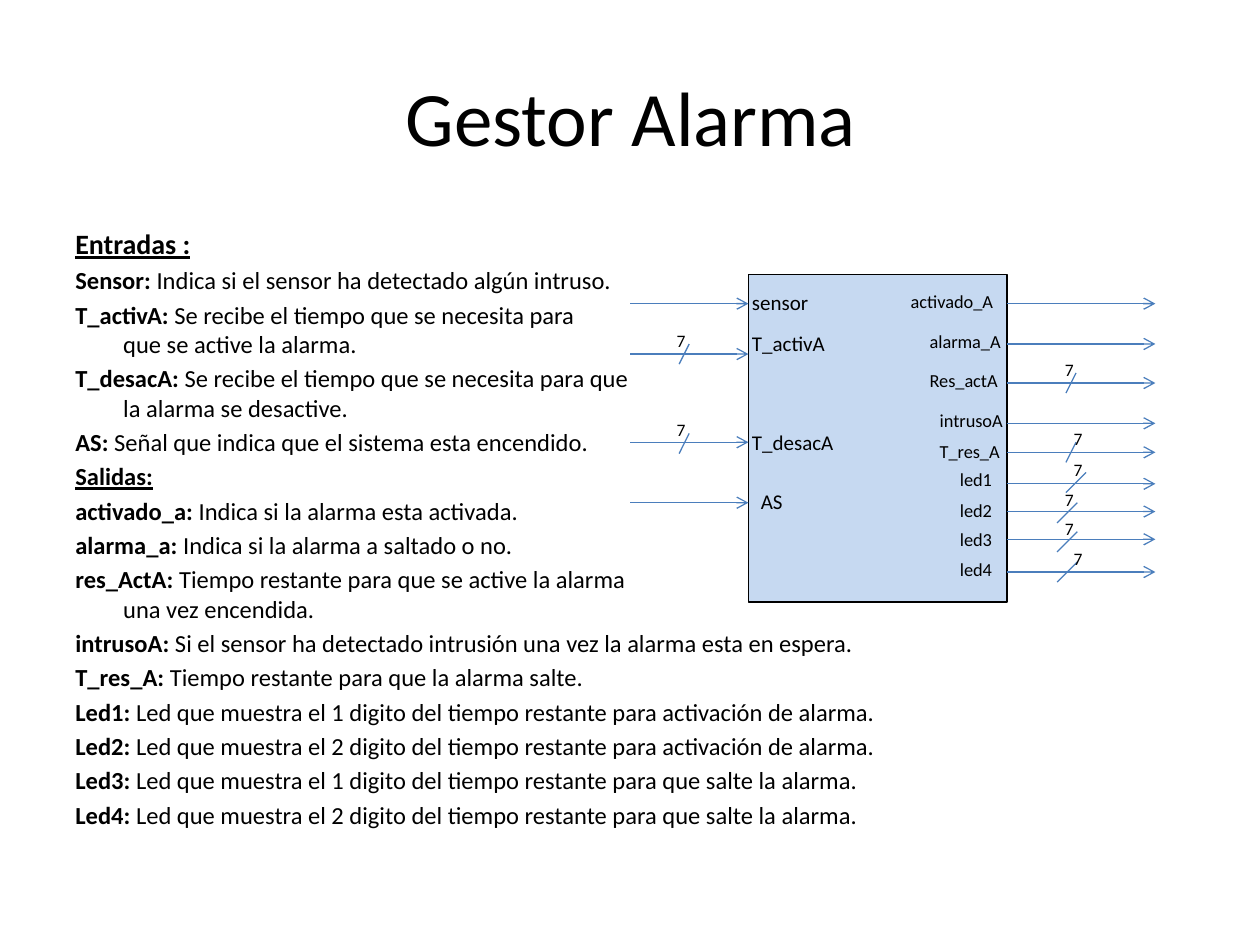
from lxml.etree import SubElement
from pptx import Presentation
from pptx.dml.color import RGBColor
from pptx.enum.shapes import MSO_CONNECTOR, MSO_SHAPE
from pptx.enum.text import MSO_ANCHOR, PP_ALIGN
from pptx.oxml.ns import qn
from pptx.util import Inches, Pt

prs = Presentation()
prs.slide_width, prs.slide_height = Inches(10), Inches(7.5)
slide = prs.slides.add_slide(prs.slide_layouts[5])
shapes = slide.shapes


def write(frame, runs, size, align=PP_ALIGN.LEFT, first=True, hanging=0, before=0):
    """Add one paragraph of (text, bold, underline) runs to a text frame."""
    frame.word_wrap = True
    paragraph = frame.paragraphs[0] if first else frame.add_paragraph()
    paragraph.alignment = align
    paragraph.space_before = Pt(before)
    if hanging:
        properties = paragraph._p.get_or_add_pPr()
        properties.set("marL", str(Inches(hanging)))
        properties.set("indent", str(-Inches(hanging)))
    for text, bold, underline in runs:
        for number, line in enumerate(text.split("\n")):
            if number:
                paragraph.add_line_break()
            run = paragraph.add_run()
            run.text = line
            run.font.name = "Calibri"
            run.font.size = Pt(size)
            run.font.bold = bold
            run.font.underline = underline
            run.font.color.rgb = RGBColor.from_string("000000")


def draw_line(x1, y1, x2, y2, arrow=False):
    line = shapes.add_connector(MSO_CONNECTOR.STRAIGHT, Inches(x1), Inches(y1), Inches(x2), Inches(y2))
    line.line.color.rgb = RGBColor.from_string("4B7EBC")
    line.line.width = Pt(0.75)
    if arrow:
        SubElement(line.line._get_or_add_ln(), qn("a:tailEnd"), type="arrow")
    SubElement(line._element.spPr, qn("a:effectLst"))


title = shapes.title
title.left, title.top, title.width, title.height = Inches(0.51), Inches(0.29), Inches(9), Inches(1.25)
title.text_frame.vertical_anchor = MSO_ANCHOR.MIDDLE
write(title.text_frame, [("Gestor Alarma", False, False)], 44, align=PP_ALIGN.CENTER)

# Description of every signal; an entry without description is a heading
signals = [
    ("Entradas :", ""),
    ("Sensor:", "Indica si el sensor ha detectado algún intruso."),
    ("T_activA:", "Se recibe el tiempo que se necesita para\nque se active la alarma."),
    ("T_desacA:", "Se recibe el tiempo que se necesita para que\nla alarma se desactive."),
    ("AS:", "Señal que indica que el sistema esta encendido."),
    ("Salidas:", ""),
    ("activado_a:", "Indica si la alarma esta activada."),
    ("alarma_a:", "Indica si la alarma a saltado o no."),
    ("res_ActA:", "Tiempo restante para que se active la alarma\nuna vez encendida."),
    ("intrusoA:", "Si el sensor ha detectado intrusión una vez la alarma esta en espera."),
    ("T_res_A:", "Tiempo restante para que la alarma salte."),
    ("Led1:", "Led que muestra el 1 digito del tiempo restante para activación de alarma."),
    ("Led2:", "Led que muestra el 2 digito del tiempo restante para activación de alarma."),
    ("Led3:", "Led que muestra el 1 digito del tiempo restante para que salte la alarma."),
    ("Led4:", "Led que muestra el 2 digito del tiempo restante para que salte la alarma."),
]
description = shapes.add_textbox(Inches(0.5), Inches(1.75), Inches(9), Inches(5.15)).text_frame
for index, (signal, meaning) in enumerate(signals):
    runs = [(signal, True, False), (" " + meaning, False, False)] if meaning else [(signal, True, True)]
    size = 14 if index else 16
    write(description, runs, size, first=index == 0, hanging=0.38, before=size * 0.2)

block = shapes.add_shape(MSO_SHAPE.RECTANGLE, Inches(5.94), Inches(2.18), Inches(2.05), Inches(2.6))
block.shadow.inherit = False
block.fill.solid()
block.fill.fore_color.rgb = RGBColor.from_string("C6D9F1")
block.line.color.rgb = RGBColor.from_string("000000")
block.line.width = Pt(1)

# Label, its left and top, arrow height, and for a bus:
# left of the "7", then left, top and width of the slash
inputs = [
    ("sensor", 5.87, 2.25, 2.41, None),
    ("T_activA", 5.87, 2.57, 2.81, (5.31, 5.39, 2.73, 0.08)),
    ("T_desacA", 5.87, 3.36, 3.51, (5.31, 5.39, 3.44, 0.08)),
    ("AS", 5.94, 3.83, 3.99, None),
]
outputs = [
    ("activado_A", 7.13, 2.25, 2.41, None),
    ("alarma_A", 7.28, 2.57, 2.73, None),
    ("Res_actA", 7.28, 2.88, 3.04, (8.39, 8.46, 2.96, 0.08)),
    ("intrusoA", 7.36, 3.2, 3.36, None),
    ("T_res_A", 7.36, 3.44, 3.59, (8.46, 8.46, 3.51, 0.08)),
    ("led1", 7.52, 3.67, 3.84, (8.46, 8.46, 3.75, 0.16)),
    ("led2", 7.52, 3.91, 4.06, (8.39, 8.39, 3.99, 0.16)),
    ("led3", 7.52, 4.14, 4.28, (8.39, 8.39, 4.22, 0.16)),
    ("led4", 7.52, 4.38, 4.54, (8.46, 8.39, 4.46, 0.16)),
]
for ports, start, end, size, label_width in ((inputs, 5, 5.94, 12, 1), (outputs, 7.99, 9.17, 10.5, 0.87)):
    for name, left, top, arrow_y, bus in ports:
        draw_line(start, arrow_y, end, arrow_y, arrow=True)
        label = shapes.add_textbox(Inches(left), Inches(top), Inches(label_width), Inches(0.28))
        write(label.text_frame, [(name, False, False)], size)
        if bus:
            bits_left, slash_left, slash_top, slash_width = bus
            draw_line(slash_left + slash_width, slash_top, slash_left, slash_top + 0.16)
            bits = shapes.add_textbox(Inches(bits_left), Inches(slash_top - 0.16), Inches(0.16), Inches(0.27))
            write(bits.text_frame, [("7", False, False)], 10)

prs.save("out.pptx")
